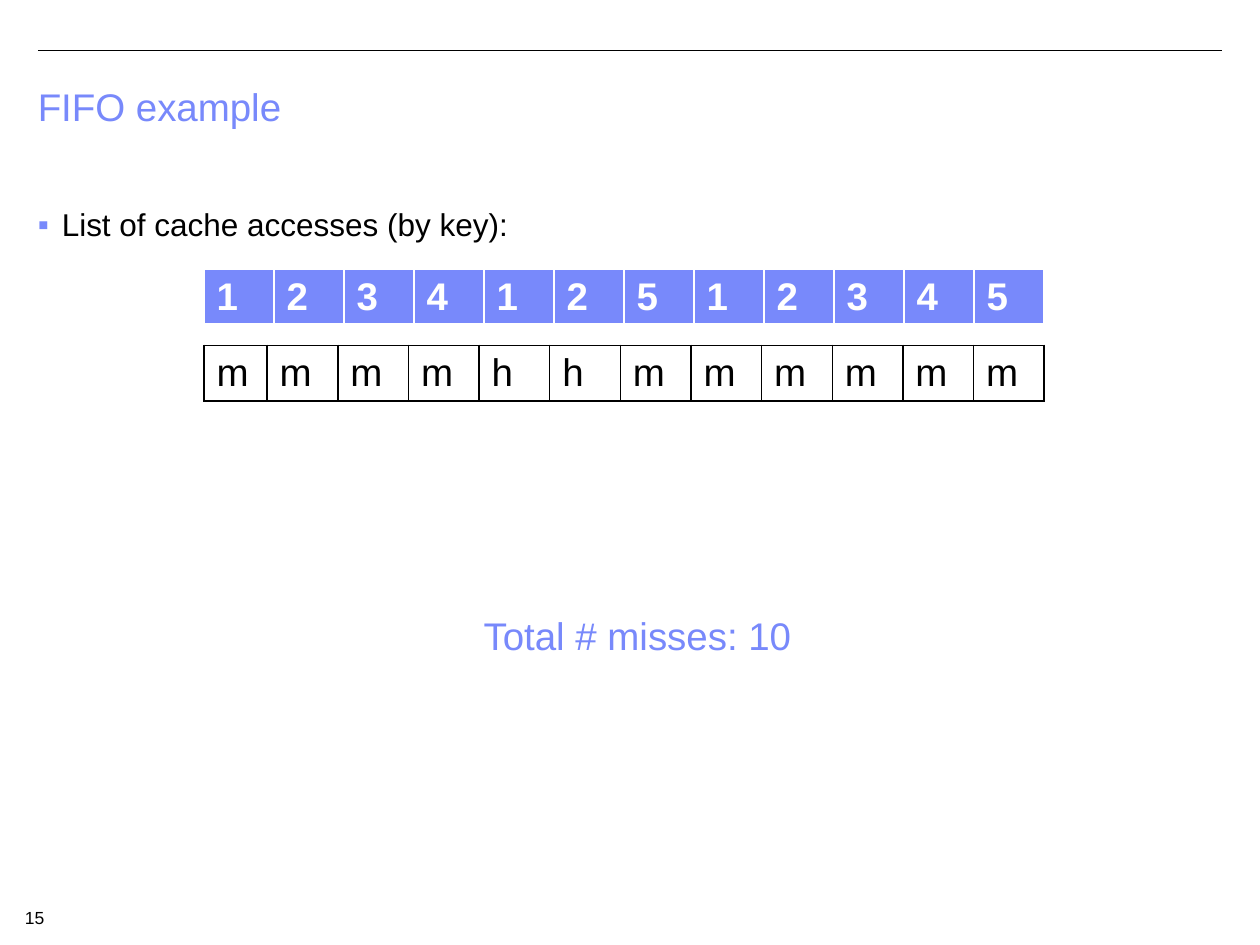
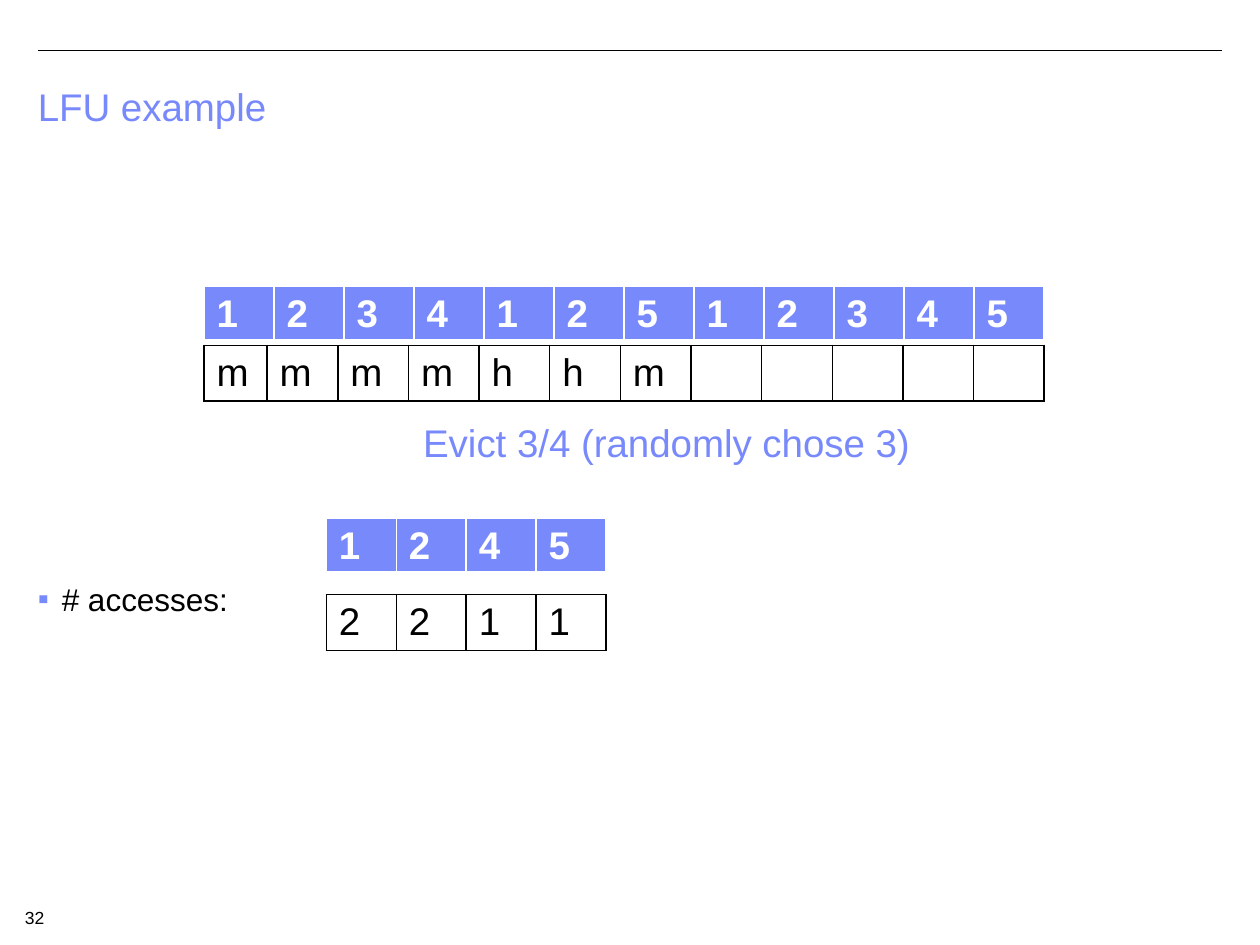
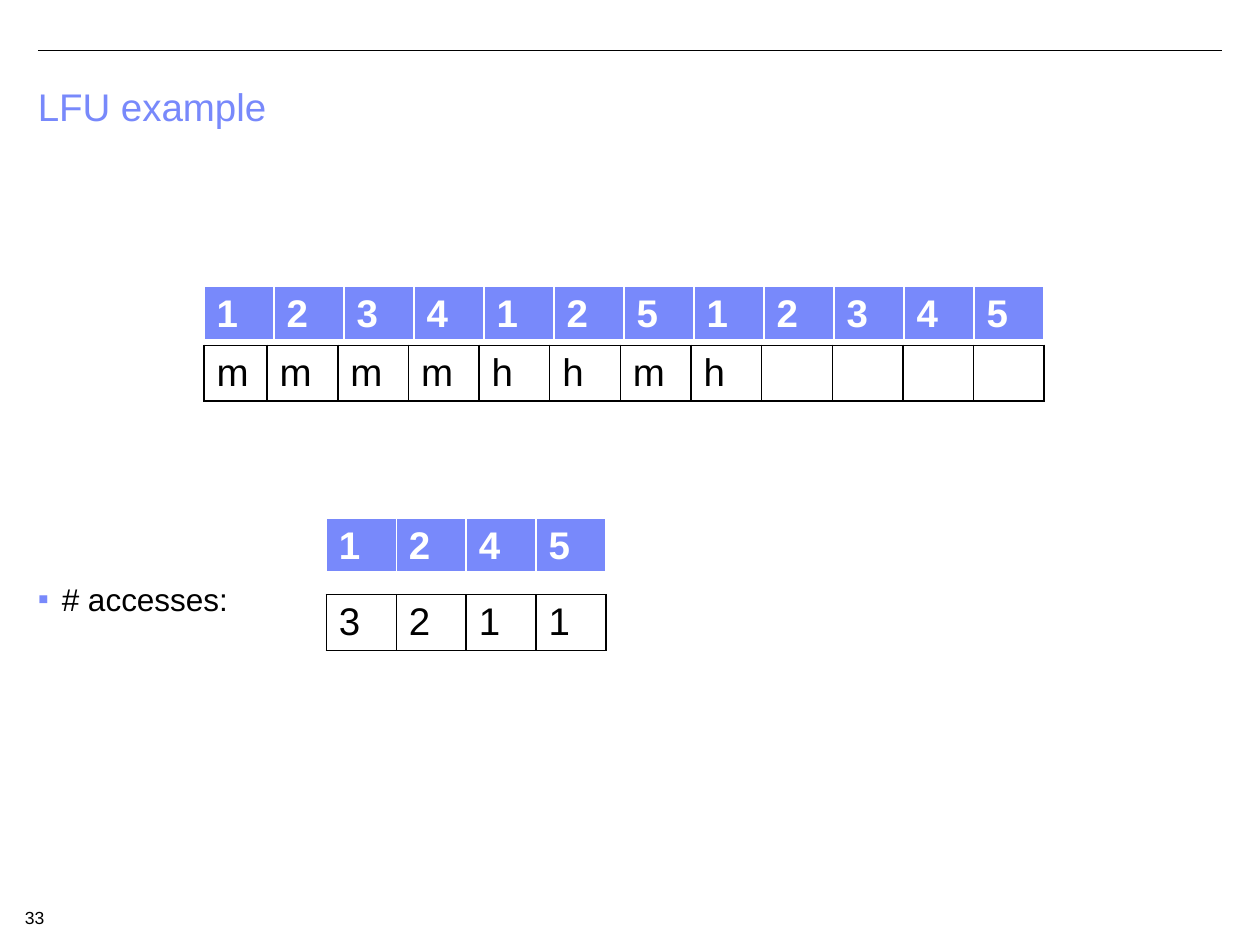
from lxml import etree
from pptx import Presentation
from pptx.dml.color import RGBColor
from pptx.enum.shapes import MSO_CONNECTOR
from pptx.enum.text import MSO_ANCHOR, MSO_AUTO_SIZE, PP_ALIGN
from pptx.oxml.ns import qn
from pptx.util import Inches, Pt

STRAIGHT = MSO_CONNECTOR.STRAIGHT
TOP = MSO_ANCHOR.TOP
NO_FIT, GROW = MSO_AUTO_SIZE.NONE, MSO_AUTO_SIZE.SHAPE_TO_FIT_TEXT
LEFT = PP_ALIGN.LEFT

FONT = "Arial"
ACCENT, BLACK, WHITE = "7889FB", "000000", "FFFFFF"
TITLE_BOX = (0.2, 0.65, 9.5, 0.5)
BODY_BOX = (0.2, 1.55, 9.5, 5.4)
NUMBER_BOX = (0.1, 7.15, 0.4, 0.2)
ROW_H = 0.41
TRACE_X, TRACE_W = 1.62, 6.67
RESULTS_Y = 2.74
CACHE_X, CACHE_W = 2.59, 2.22
CACHE_Y, COUNTS_Y = 4.11, 4.72
ACCESSES = "123412512345"


def rgb(value):
    return RGBColor.from_string(value)


def inches(box):
    return [Inches(v) for v in box]


def add_run(p, text, size, color, bold=False):
    r = p.add_run()
    r.text = text
    r.font.name, r.font.size, r.font.bold = FONT, Pt(size), bold
    r.font.color.rgb = rgb(color)


def place(shape, box):
    shape.left, shape.top, shape.width, shape.height = inches(box)


def set_up_layout(prs):
    layout = prs.slide_layouts[1]
    for ph, box in zip(layout.placeholders, (TITLE_BOX, BODY_BOX)):
        place(ph, box)
        ph.text_frame.vertical_anchor = TOP
        ph.text_frame.auto_size = NO_FIT
    return layout


def move_rule_to_master(prs, s):
    rule = s.shapes.add_connector(STRAIGHT, *inches((0.3, 0.4, 9.7, 0.4)))
    rule.line.color.rgb = rgb(BLACK)
    rule.line.width = Pt(0.75)
    etree.SubElement(rule._element.spPr, qn("a:effectLst"))
    prs.slide_master.shapes._spTree.append(rule._element)


def add_bullet(p):
    pPr = p._p.get_or_add_pPr()
    pPr.set("marL", str(Inches(0.19)))
    pPr.set("indent", str(-Inches(0.19)))
    color = etree.SubElement(pPr, qn("a:buClr"))
    etree.SubElement(color, qn("a:srgbClr"), val=ACCENT)
    etree.SubElement(pPr, qn("a:buFont"), typeface=FONT)
    etree.SubElement(pPr, qn("a:buChar"), char="▪")


def add_text(s, box, text, size, color, wrap=True):
    tf = s.shapes.add_textbox(*inches(box)).text_frame
    tf.word_wrap = wrap
    tf.auto_size = NO_FIT if wrap else GROW
    add_run(tf.paragraphs[0], text, size, color)


def base_slide(prs, layout, title, bullet, bullet_inset, number):
    s = prs.slides.add_slide(layout)
    p = s.shapes.title.text_frame.paragraphs[0]
    p.alignment, p.line_spacing = LEFT, 0.9
    add_run(p, title, 22, ACCENT)
    tf = s.placeholders[1].text_frame
    tf.margin_top = Inches(bullet_inset)
    p = tf.paragraphs[0]
    p.space_before = Pt(0)
    add_bullet(p)
    add_run(p, bullet, 18, BLACK)
    add_text(s, NUMBER_BOX, str(number), 10, BLACK)
    return s


def set_borders(cell, color, bottom):
    tcPr = cell._tc.get_or_add_tcPr()
    for i, side in enumerate("LRTB"):
        width = Pt(bottom if side == "B" else 1)
        ln = etree.Element(qn(f"a:ln{side}"), w=str(width))
        fill = etree.SubElement(ln, qn("a:solidFill"))
        etree.SubElement(fill, qn("a:srgbClr"), val=color)
        tcPr.insert(i, ln)


def add_row(s, box, values, header=False, first_w=None):
    n, w = len(values), box[2]
    table = s.shapes.add_table(1, n, *inches(box)).table
    table.first_row = header
    table.horz_banding = False
    first_w = first_w or w / n
    for i, value in enumerate(values):
        table.columns[i].width = Inches((w - first_w) / (n - 1) if i else first_w)
        cell = table.cell(0, i)
        if header:
            cell.fill.solid()
            cell.fill.fore_color.rgb = rgb(ACCENT)
        else:
            cell.fill.background()
        set_borders(cell, WHITE if header else BLACK, 3 if header else 1)
        if value.strip():
            add_run(cell.text_frame.paragraphs[0], value, 22,
                    WHITE if header else BLACK, header)


def add_trace(s, y, results):
    add_row(s, (TRACE_X, y, TRACE_W, ROW_H), ACCESSES, header=True)
    add_row(s, (TRACE_X, RESULTS_Y, TRACE_W, ROW_H),
            results.ljust(len(ACCESSES)), first_w=0.5)


def add_cache(s, keys, counts):
    add_row(s, (CACHE_X, CACHE_Y, CACHE_W, ROW_H), keys, header=True)
    add_row(s, (CACHE_X, COUNTS_Y, CACHE_W, ROW_H), counts)


def fifo_slide(prs, layout):
    s = base_slide(prs, layout, "FIFO example",
                   "List of cache accesses (by key):", 0.08, 15)
    add_trace(s, 2.14, "mmmmhhmmmmmm")
    add_text(s, (3.74, 4.81, 2.67, 0.47), "Total # misses: 10", 22, ACCENT, wrap=False)
    return s


def lfu_slide(prs, layout, number, results, counts, note=None):
    s = base_slide(prs, layout, "LFU example", "# accesses:", 3.05, number)
    add_trace(s, 2.27, results)
    add_cache(s, "1245", counts)
    if note:
        add_text(s, (3.26, 3.28, 4.12, 0.47), note, 22, ACCENT, wrap=False)


def main():
    prs = Presentation()
    prs.slide_width, prs.slide_height = Inches(10), Inches(7.5)
    layout = set_up_layout(prs)
    s = fifo_slide(prs, layout)
    move_rule_to_master(prs, s)
    lfu_slide(prs, layout, 32, "mmmmhhm", "2211", "Evict 3/4 (randomly chose 3)")
    lfu_slide(prs, layout, 33, "mmmmhhmh", "3211")
    prs.save("out.pptx")


if __name__ == "__main__":
    main()
